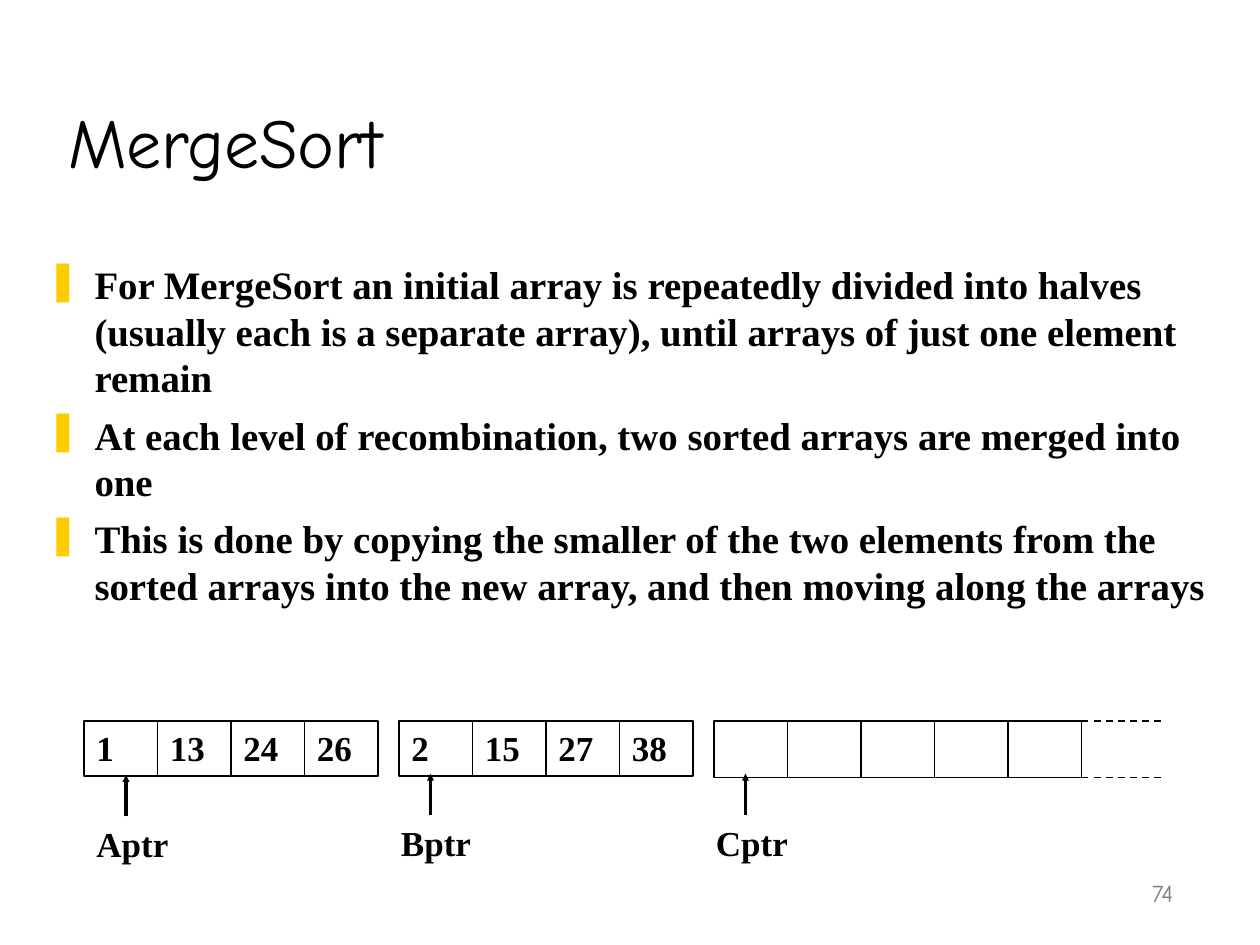
from lxml.etree import SubElement
from pptx import Presentation
from pptx.dml.color import RGBColor
from pptx.enum.dml import MSO_LINE
from pptx.enum.shapes import MSO_CONNECTOR as Link, MSO_SHAPE as Form
from pptx.enum.text import MSO_ANCHOR as Anchor, MSO_AUTO_SIZE as Auto, PP_ALIGN as Align
from pptx.oxml.ns import qn
from pptx.util import Inches, Pt

COL = 1 / 12        # grid of 120 columns over the slide's width
CELL = 7 * COL      # width of one array cell
TOP = 5.72          # top of the arrays
INK, GOLD, GREY = "000000", "FFCC00", "808080"
HAND, SERIF, SIGNS = "Comic Neue", "Times New Roman", "OpenSymbol"
LABEL = dict(name=SERIF, size=Pt(20), bold=True)
POINTS = [
    "For MergeSort an initial array is repeatedly divided into halves (usually each is "
    "a separate array), until arrays of just one element remain",
    "At each level of recombination, two sorted arrays are merged into one",
    "This is done by copying the smaller of the two elements from the sorted arrays "
    "into the new array, and then moving along the arrays",
]
# first column, values, cell height
ARRAYS = [
    (8, ["1", "13", "24", "26"], 0.44),
    (38, ["2", "15", "27", "38"], 0.44),
    (68, [""] * 5, 0.45),
]
# label, first column, top
PTRS = [("Aptr", 8, 6.48), ("Bptr", 37, 6.47), ("Cptr", 67, 6.47)]


def tint(code):
    return RGBColor.from_string(code)


def inch(*box):
    return [Inches(v) for v in box]


def style(item, form):
    for key, val in form.items():
        setattr(item, key, val)


def write(para, text, form, ink=INK):
    para.text = text
    style(para.font, form)
    para.font.color.rgb = tint(ink)


def seat(shape, box):
    style(shape, dict(zip(("left", "top", "width", "height"), inch(*box))))


def rule(shapes, start, end, width):
    line = shapes.add_connector(Link.STRAIGHT, *inch(*start, *end))
    line.line.color.rgb = tint(INK)
    line.line.width = Pt(width)
    SubElement(line._element.spPr, qn("a:effectLst"))
    return line


def title(slide, box):
    head = slide.shapes.title
    seat(head, box)
    frame = head.text_frame
    style(frame, dict(vertical_anchor=Anchor.BOTTOM, auto_size=Auto.NONE))
    write(frame.paragraphs[0], "MergeSort", dict(name=HAND, size=Pt(40)))
    frame.paragraphs[0].alignment = Align.LEFT


def bullet(para):
    props = para._p.get_or_add_pPr()
    props.set("marL", str(Inches(0.38)))
    props.set("indent", str(-Inches(0.38)))
    shade = SubElement(props, qn("a:buClr"))
    SubElement(shade, qn("a:srgbClr"), val=GOLD)
    SubElement(props, qn("a:buFont"), typeface=SIGNS)
    SubElement(props, qn("a:buChar"), char="❚")


def body(slide, box):
    hold = slide.placeholders[1]
    seat(hold, box)
    frame = hold.text_frame
    frame.auto_size = Auto.NONE
    for i, text in enumerate(POINTS):
        para = frame.add_paragraph() if i else frame.paragraphs[0]
        para.space_before = Pt(6 if i else 0)
        bullet(para)
        write(para, text, dict(name=SERIF, size=Pt(22.2), bold=True))


def array(slide, left, top, vals, height):
    for i, val in enumerate(vals):
        cell = slide.shapes.add_shape(
            Form.RECTANGLE, *inch(left + i * CELL, top, CELL, height))
        cell.shadow.inherit = False
        cell.fill.background()
        cell.line.color.rgb = tint(INK)
        cell.line.width = Pt(1)
        if val:
            cell.text_frame.vertical_anchor = Anchor.TOP
            para = cell.text_frame.paragraphs[0]
            write(para, val, LABEL)
            para.alignment = Align.LEFT


def tail(slide, left, top, width, height):
    # Open end of the merged array
    for y in (top, top + height):
        line = rule(slide.shapes, (left, y), (left + width, y), 1)
        line.line.dash_style = MSO_LINE.DASH


def pointer(slide, text, left, top):
    group = slide.shapes.add_group_shape().shapes
    label = group.add_textbox(*inch(left, top, 10 * COL, 0.44))
    label.text_frame.word_wrap = True
    write(label.text_frame.paragraphs[0], text, LABEL)
    mid = left + 4 * COL
    arrow = rule(group, (mid, top), (mid, top - 0.33), 2)
    SubElement(arrow.line._get_or_add_ln(), qn("a:tailEnd"),
               type="triangle", w="sm", len="sm")


def number(slide, box):
    frame = slide.shapes.add_textbox(*inch(*box)).text_frame
    style(frame, dict(word_wrap=True, vertical_anchor=Anchor.BOTTOM))
    write(frame.paragraphs[0], "74", dict(name=HAND, size=Pt(14)), GREY)
    frame.paragraphs[0].alignment = Align.RIGHT


def main():
    deck = Presentation()
    deck.slide_width, deck.slide_height = inch(10, 7.5)
    slide = deck.slides.add_slide(deck.slide_layouts[1])

    # Heading and list
    title(slide, (0.44, 0.25, 9.06, 1.25))
    body(slide, (0.27, 2.02, 9.41, 3.44))

    # Arrays with their pointers
    for col, vals, height in ARRAYS:
        array(slide, col * COL, TOP, vals, height)
    tail(slide, 103 * COL, TOP, 8 * COL, 0.45)
    for text, col, top in PTRS:
        pointer(slide, text, col * COL, top)

    number(slide, (7.33, 6.75, 2.08, 0.5))
    deck.save("out.pptx")


if __name__ == "__main__":
    main()
